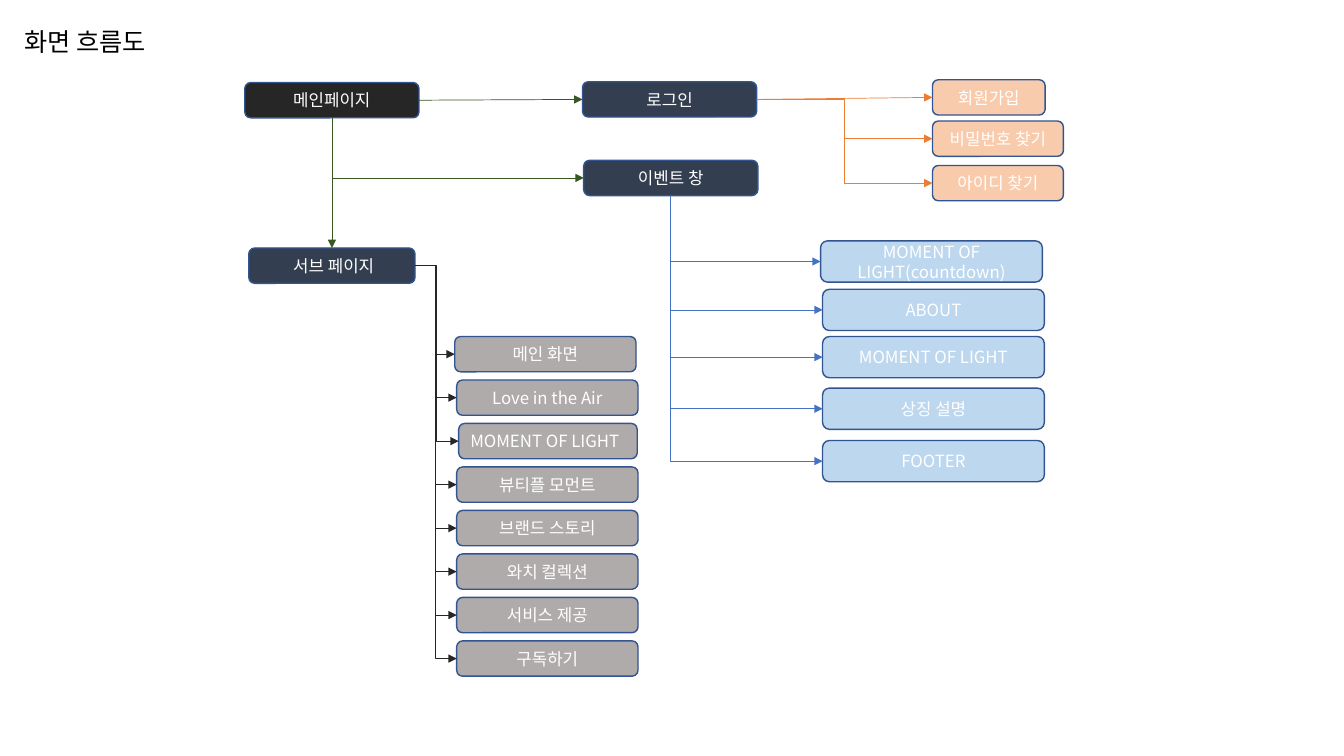
import pptx
import pptx.util
import pptx.dml.color
import pptx.enum.shapes
import pptx.enum.text
import pptx.oxml.ns
import lxml.etree

Cm = pptx.util.Cm
Pt = pptx.util.Pt
RGBColor = pptx.dml.color.RGBColor
MSO_CONNECTOR = pptx.enum.shapes.MSO_CONNECTOR
PP_ALIGN = pptx.enum.text.PP_ALIGN
qn = pptx.oxml.ns.qn

FONT = "Noto Sans CJK KR"
BLACK = RGBColor(0x00, 0x00, 0x00)
WHITE = RGBColor(0xFF, 0xFF, 0xFF)
CHARCOAL = RGBColor(0x26, 0x26, 0x26)
SLATE = RGBColor(0x33, 0x3F, 0x50)
GRAY = RGBColor(0xAF, 0xAB, 0xAB)
PEACH = RGBColor(0xF8, 0xCB, 0xAD)
SKY = RGBColor(0xBD, 0xD7, 0xEE)
OUTLINE = RGBColor(0x32, 0x54, 0x91)
GREEN = RGBColor(0x38, 0x57, 0x23)
ORANGE = RGBColor(0xED, 0x7D, 0x31)
BLUE = RGBColor(0x44, 0x72, 0xC4)

# Connection sites of a rounded rectangle
TOP, LEFT, BOTTOM, RIGHT = range(4)

deck = pptx.Presentation()
deck.slide_width = Cm(33.87)
deck.slide_height = Cm(19.05)
page = deck.slides.add_slide(deck.slide_layouts[5])


def add_box(text, left, top, width, fill, height=0.89, align=PP_ALIGN.CENTER):
    box = page.shapes.add_shape(
        pptx.enum.shapes.MSO_SHAPE.ROUNDED_RECTANGLE,
        Cm(left), Cm(top), Cm(width), Cm(height))
    box.shadow.inherit = False
    box.fill.solid()
    box.fill.fore_color.rgb = fill
    box.line.color.rgb = OUTLINE
    box.line.width = Pt(1)
    box.text_frame.word_wrap = True
    box.text_frame.vertical_anchor = pptx.enum.text.MSO_ANCHOR.MIDDLE
    para = box.text_frame.paragraphs[0]
    para.alignment = align
    span = para.add_run()
    span.text = text
    span.font.size = Pt(12)
    span.font.name = FONT
    span.font.color.rgb = WHITE
    return box


def add_arrow(start, start_site, end, end_site, color, kind=MSO_CONNECTOR.ELBOW):
    arrow = page.shapes.add_connector(kind, 0, 0, 0, 0)
    arrow.begin_connect(start, start_site)
    arrow.end_connect(end, end_site)
    arrow.line.color.rgb = color
    arrow.line.width = Pt(0.5)
    properties = arrow.element.spPr
    tail = lxml.etree.SubElement(properties.find(qn("a:ln")), qn("a:tailEnd"))
    tail.set("type", "triangle")
    lxml.etree.SubElement(properties, qn("a:effectLst"))
    # Down, then right: a single bend, turned a quarter and mirrored
    if kind == MSO_CONNECTOR.ELBOW and start_site == BOTTOM:
        across, down = arrow.width, arrow.height
        arrow.left += (across - down) // 2
        arrow.top += (down - across) // 2
        arrow.width, arrow.height = down, across
        properties.find(qn("a:prstGeom")).set("prst", "bentConnector2")
        frame = properties.find(qn("a:xfrm"))
        frame.set("rot", "16200000")
        frame.set("flipH", "1")


# Title
title = page.shapes.title
title.left, title.top, title.width, title.height = Cm(0.36), Cm(0.53), Cm(3.94), Cm(1.02)
title.text_frame.word_wrap = False
title.text_frame.auto_size = pptx.enum.text.MSO_AUTO_SIZE.SHAPE_TO_FIT_TEXT
title.text_frame.vertical_anchor = pptx.enum.text.MSO_ANCHOR.TOP
title_para = title.text_frame.paragraphs[0]
title_para.alignment = PP_ALIGN.LEFT
title_span = title_para.add_run()
title_span.text = "화면 흐름도"
title_span.font.size = Pt(18)
title_span.font.name = FONT
title_span.font.color.rgb = BLACK

# Main pages
main_page = add_box("메인페이지", 6.17, 2.08, 4.39, CHARCOAL)
login = add_box("로그인", 14.68, 2.06, 4.39, SLATE)
event = add_box("이벤트 창", 14.71, 4.04, 4.39, SLATE)
sub_page = add_box(" 서브 페이지", 6.27, 6.25, 4.19, SLATE)
add_arrow(main_page, RIGHT, login, LEFT, GREEN, MSO_CONNECTOR.STRAIGHT)
add_arrow(main_page, BOTTOM, event, LEFT, GREEN)
add_arrow(main_page, BOTTOM, sub_page, TOP, GREEN, MSO_CONNECTOR.STRAIGHT)

# Login branch
for text, top, width, kind in [
    ("회원가입", 2.01, 2.84, MSO_CONNECTOR.STRAIGHT),
    ("비밀번호 찾기", 3.05, 3.3, MSO_CONNECTOR.ELBOW),
    ("아이디 찾기", 4.17, 3.3, MSO_CONNECTOR.ELBOW),
]:
    box = add_box(text, 23.5, top, width, PEACH)
    add_arrow(login, RIGHT, box, LEFT, ORANGE, kind)

# Event branch
for text, left, top in [
    ("MOMENT OF LIGHT(countdown)", 20.68, 6.07),
    ("ABOUT", 20.73, 7.29),
    ("MOMENT OF LIGHT", 20.73, 8.48),
    ("상징 설명", 20.73, 9.78),
    ("FOOTER", 20.73, 11.1),
]:
    box = add_box(text, left, top, 5.59, SKY, height=1.04)
    add_arrow(event, BOTTOM, box, LEFT, BLUE)

# Sub page branch, evenly spaced
sections = [
    ("메인 화면", 11.46, 4.57, PP_ALIGN.CENTER),
    ("Love in the Air", 11.51, 4.57, PP_ALIGN.CENTER),
    ("MOMENT OF LIGHT", 11.56, 4.5, PP_ALIGN.LEFT),
    ("뷰티플 모먼트", 11.51, 4.57, PP_ALIGN.CENTER),
    ("브랜드 스토리", 11.51, 4.57, PP_ALIGN.CENTER),
    ("와치 컬렉션", 11.51, 4.57, PP_ALIGN.CENTER),
    ("서비스 제공", 11.51, 4.57, PP_ALIGN.CENTER),
    ("구독하기", 11.51, 4.57, PP_ALIGN.CENTER),
]
first_top, last_top = 8.48, 16.15
step = (last_top - first_top) / (len(sections) - 1)
for index, (text, left, width, align) in enumerate(sections):
    box = add_box(text, left, first_top + index * step, width, GRAY, align=align)
    add_arrow(sub_page, RIGHT, box, LEFT, CHARCOAL)

# East Asian typeface for the Korean text
for latin in list(page.shapes.element.iter(qn("a:latin"))):
    east_asian = lxml.etree.Element(qn("a:ea"))
    east_asian.set("typeface", FONT)
    latin.addnext(east_asian)

deck.save("out.pptx")
